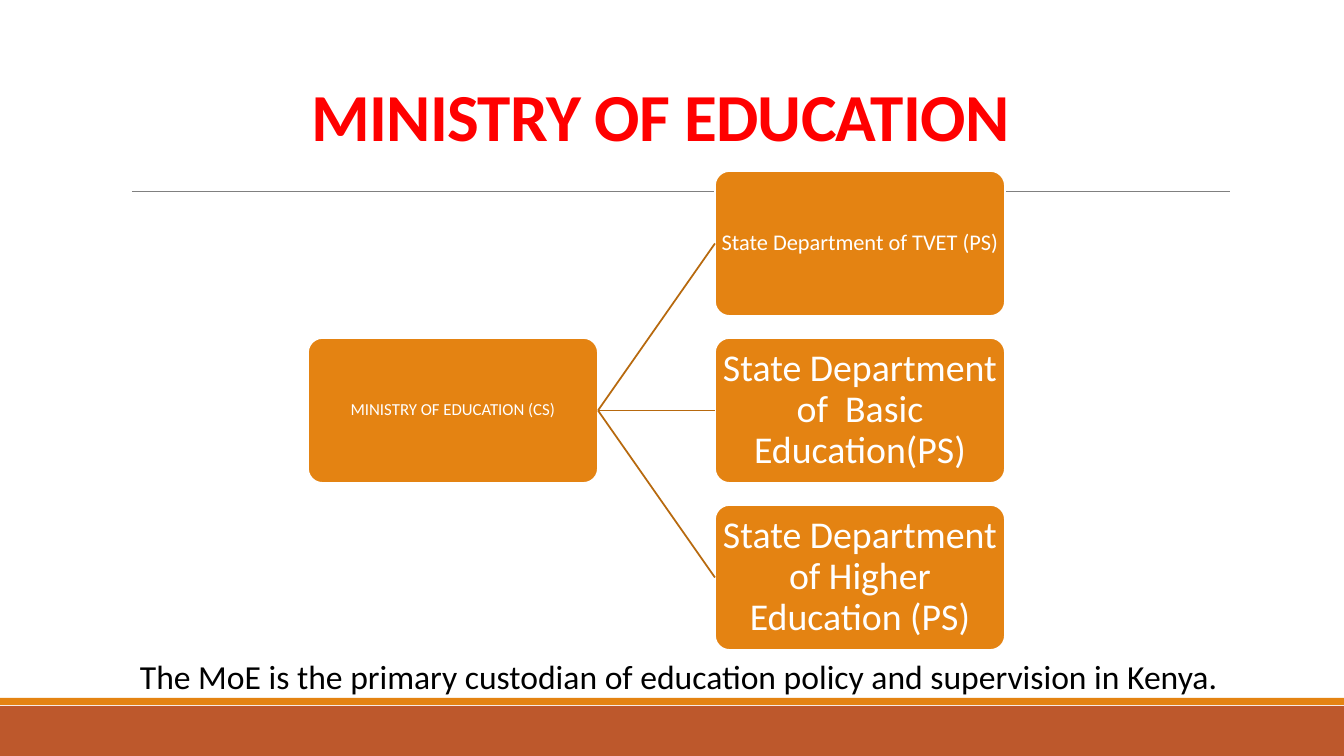
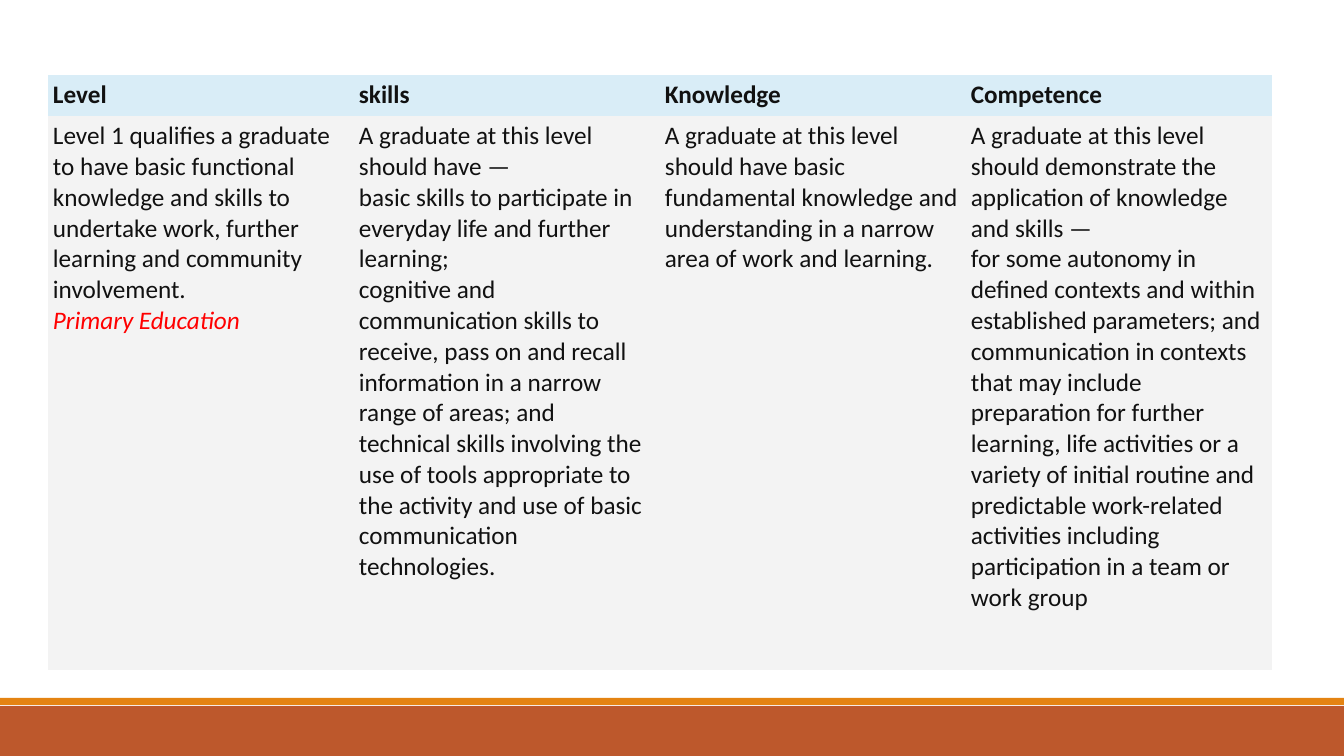
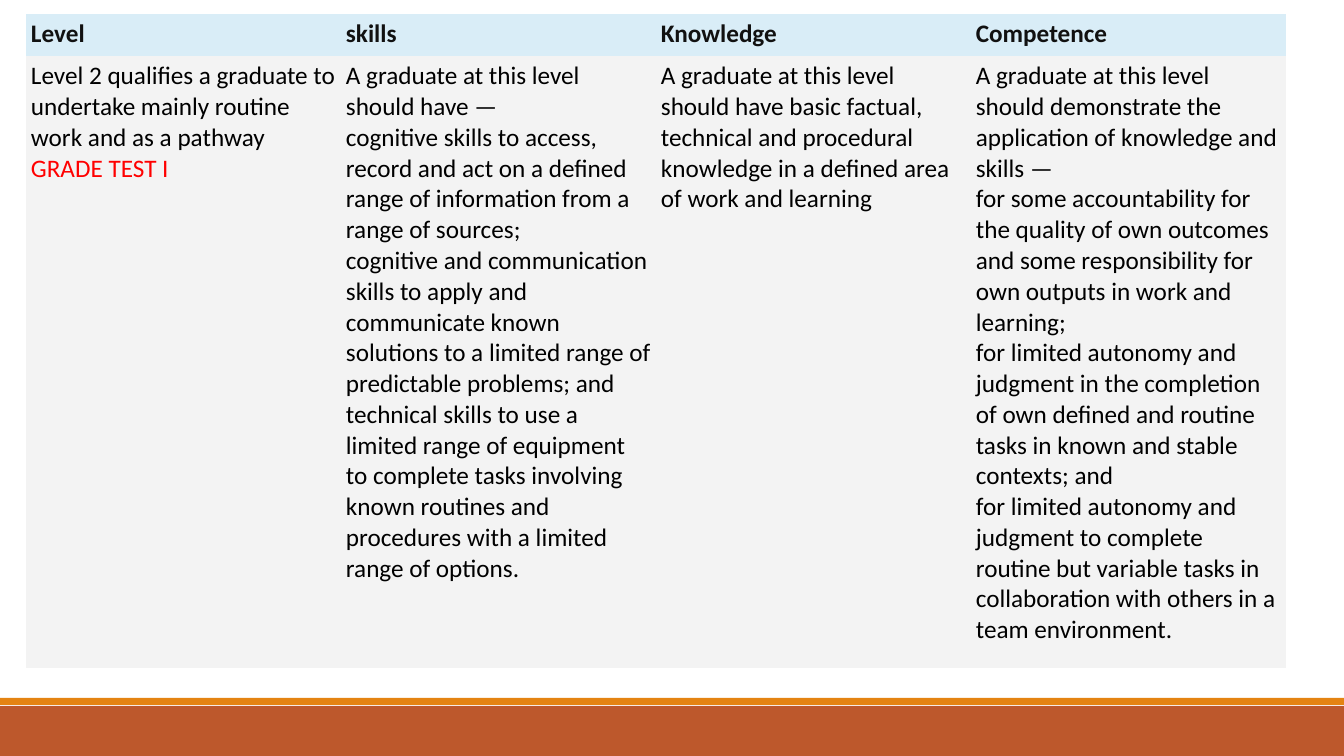
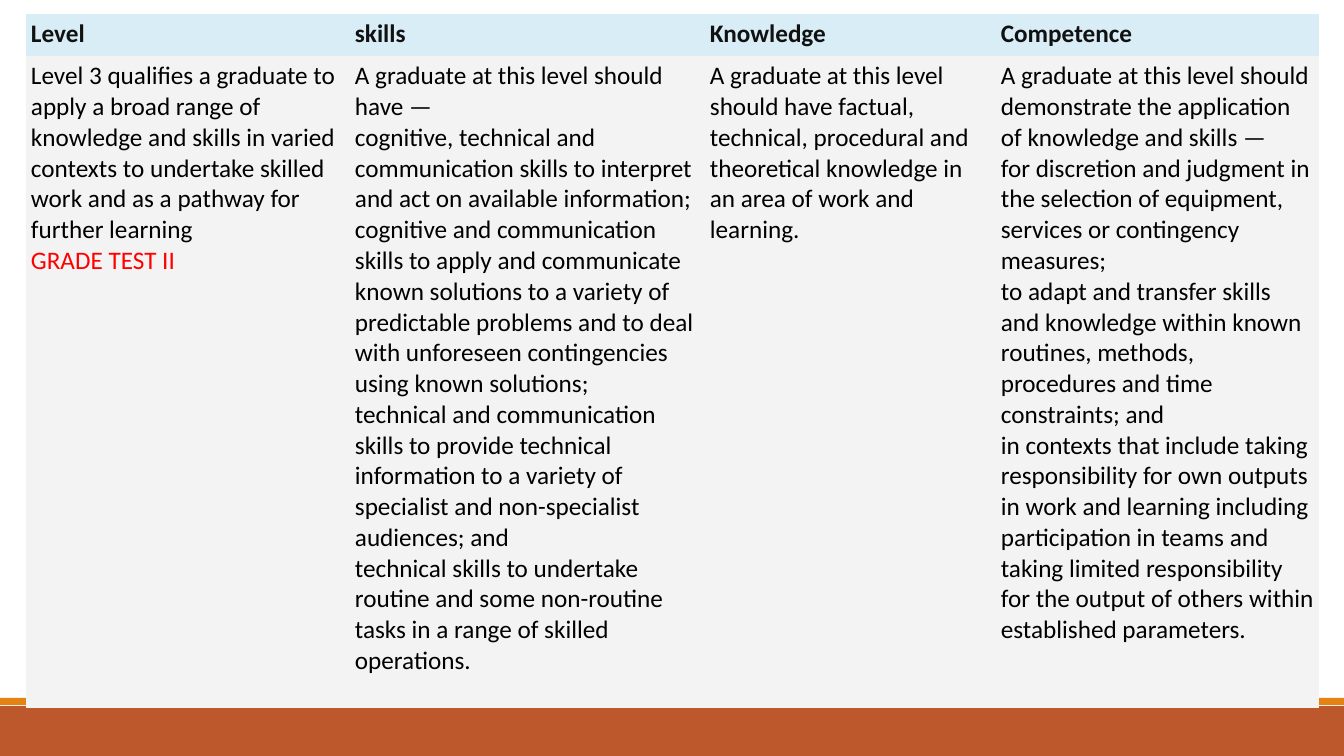
from dataclasses import dataclass

from lxml import etree
from pptx import Presentation
from pptx.dml.color import RGBColor
from pptx.enum.shapes import MSO_CONNECTOR, MSO_SHAPE
from pptx.enum.text import MSO_ANCHOR, PP_ALIGN
from pptx.oxml.ns import qn
from pptx.util import Emu, Pt

RECTANGLE = MSO_SHAPE.RECTANGLE
ROUNDED = MSO_SHAPE.ROUNDED_RECTANGLE
STRAIGHT = MSO_CONNECTOR.STRAIGHT
LEFT, CENTER = PP_ALIGN.LEFT, PP_ALIGN.CENTER
TOP, MIDDLE, BOTTOM = MSO_ANCHOR.TOP, MSO_ANCHOR.MIDDLE, MSO_ANCHOR.BOTTOM

PAGE_WIDTH, PAGE_HEIGHT = 1344, 756
EMU_PER_PX = 914400 / 100.8
LEFT_SIDE, RIGHT_SIDE = 1, 3
TITLE_ONLY, BLANK = 5, 6
PLAIN_TABLE = "{2D5ABB26-0587-4C30-8999-92F81FD0307C}"


def px(length):
    return Emu(round(length * EMU_PER_PX))


@dataclass(frozen=True)
class Theme:
    font: str = "Calibri"
    white: str = "FFFFFF"
    black: str = "000000"
    ink: str = "111111"
    red: str = "FF0000"
    orange: str = "E48312"
    brown: str = "BD582C"
    link: str = "B7690E"
    rule: str = "808080"
    header: str = "D9EDF7"
    body: str = "F3F3F3"
    title_size: int = 48
    large_size: int = 27
    note_size: int = 24
    table_size: int = 18
    medium_size: int = 16
    small_size: int = 12
    line_width: float = 1.25
    rule_width: float = 0.5


class Builder:
    def __init__(self, theme):
        self.theme = theme
        self.deck = Presentation()
        self.deck.slide_width = px(PAGE_WIDTH)
        self.deck.slide_height = px(PAGE_HEIGHT)
        self.page = None

    def new_page(self, layout=BLANK):
        self.page = self.deck.slides.add_slide(self.deck.slide_layouts[layout])
        self.shape(RECTANGLE, 0, 706, PAGE_WIDTH, 50, self.theme.brown)
        self.shape(RECTANGLE, 0, 698, PAGE_WIDTH, 7, self.theme.orange)

    def shape(self, kind, left, top, width, height, fill, line=None):
        box = self.page.shapes.add_shape(kind, px(left), px(top), px(width), px(height))
        box.shadow.inherit = False
        box.fill.solid()
        box.fill.fore_color.rgb = RGBColor.from_string(fill)
        if line:
            box.line.color.rgb = RGBColor.from_string(line)
            box.line.width = Pt(self.theme.line_width)
        else:
            box.line.fill.background()
        return box

    def fill_text(self, frame, lines, align=LEFT, spacing=1.0):
        for index, (text, color, size, formats) in enumerate(lines):
            para = frame.add_paragraph() if index else frame.paragraphs[0]
            para.alignment = align
            para.line_spacing = spacing
            span = para.add_run()
            span.text = text
            values = {"name": self.theme.font, "size": Pt(size), "bold": False, **formats}
            for name, value in values.items():
                setattr(span.font, name, value)
            span.font.color.rgb = RGBColor.from_string(color)

    def title(self, text, left, top, width, height):
        box = self.page.shapes.title
        place = {"left": left, "top": top, "width": width, "height": height}
        for name, value in place.items():
            setattr(box, name, px(value))
        frame = box.text_frame
        frame.vertical_anchor = BOTTOM
        line = (text, self.theme.red, self.theme.title_size, {"bold": True})
        self.fill_text(frame, [line], CENTER, 0.85)
        frame.paragraphs[0].runs[0].font._element.set("spc", "-50")

    def node(self, text, size, left, top, width, height):
        box = self.shape(ROUNDED, left, top, width, height, self.theme.orange, self.theme.white)
        box.adjustments[0] = 0.1
        frame = box.text_frame
        frame.word_wrap = True
        frame.vertical_anchor = MIDDLE
        for side in ("left", "right", "top", "bottom"):
            setattr(frame, f"margin_{side}", px(1))
        self.fill_text(frame, [(text, self.theme.white, size, {})], CENTER, 0.9)
        return box

    def line(self, color, width, start=(0, 0), end=(0, 0)):
        line = self.page.shapes.add_connector(STRAIGHT, *map(px, start + end))
        line.line.color.rgb = RGBColor.from_string(color)
        line.line.width = Pt(width)
        etree.SubElement(line._element.spPr, qn("a:effectLst"))
        return line

    def link(self, parent, child):
        line = self.line(self.theme.link, self.theme.line_width)
        line.begin_connect(parent, RIGHT_SIDE)
        line.end_connect(child, LEFT_SIDE)

    def note(self, text, left, top, width, height):
        box = self.page.shapes.add_textbox(px(left), px(top), px(width), px(height))
        box.text_frame.word_wrap = True
        self.fill_text(box.text_frame, [(text, self.theme.black, self.theme.note_size, {})])

    def cell(self, cell, lines, fill):
        cell.fill.solid()
        cell.fill.fore_color.rgb = RGBColor.from_string(fill)
        cell.vertical_anchor = TOP
        for side in ("left", "right", "top", "bottom"):
            setattr(cell, f"margin_{side}", px(5))
        self.fill_text(cell.text_frame, lines)

    def level_table(self, left, top, widths, heights, color, columns, award, award_format):
        theme = self.theme
        holder = self.page.shapes.add_table(
            2, len(widths), px(left), px(top), px(sum(widths)), px(sum(heights)))
        table = holder.table
        table.horz_banding = False
        holder._element.xpath(".//a:tableStyleId")[0].text = PLAIN_TABLE
        for row, height in zip(table.rows, heights):
            row.height = px(height)
        for index, (width, heading, texts) in enumerate(zip(widths, HEADINGS, columns)):
            table.columns[index].width = px(width)
            head = (heading, theme.ink, theme.table_size, {"bold": True})
            lines = [(text, color, theme.table_size, {}) for text in texts]
            if index == 0:
                lines.append((award, theme.red, theme.table_size, award_format))
            self.cell(table.cell(0, index), [head], theme.header)
            self.cell(table.cell(1, index), lines, theme.body)


HEADINGS = ("Level", "skills", "Knowledge", "Competence")
SKILLS_LEAD = "A graduate at this level should have —"
COMPETENCE_LEAD = (
    "A graduate at this level should demonstrate the application of knowledge and skills —")

LEVEL_1 = (
    ["Level 1 qualifies a graduate to have basic functional knowledge and skills to undertake "
     "work, further learning and community involvement."],
    [SKILLS_LEAD,
     "basic skills to participate in everyday life and further learning;",
     "cognitive and communication skills to receive, pass on and recall information in a "
     "narrow range of areas; and",
     "technical skills involving the use of tools appropriate to the activity and use of basic "
     "communication technologies."],
    ["A graduate at this level should have basic fundamental knowledge and understanding in a "
     "narrow area of work and learning."],
    [COMPETENCE_LEAD,
     "for some autonomy in defined contexts and within established parameters; and",
     "communication in contexts that may include preparation for further learning, life "
     "activities or a variety of initial routine and predictable work-related activities "
     "including participation in a team or work group"],
)

LEVEL_2 = (
    ["Level 2 qualifies a graduate to undertake mainly routine work and as a pathway"],
    [SKILLS_LEAD,
     "cognitive skills to access, record and act on a defined range of information from a "
     "range of sources;",
     "cognitive and communication skills to apply and communicate known solutions to a limited "
     "range of predictable problems; and",
     "technical skills to use a limited range of equipment to complete tasks involving known "
     "routines and procedures with a limited range of options."],
    ["A graduate at this level should have basic factual, technical and procedural knowledge "
     "in a defined area of work and learning"],
    [COMPETENCE_LEAD,
     "for some accountability for the quality of own outcomes and some responsibility for own "
     "outputs in work and learning;",
     "for limited autonomy and judgment in the completion of own defined and routine tasks in "
     "known and stable contexts; and",
     "for limited autonomy and judgment to complete routine but variable tasks in "
     "collaboration with others in a team environment."],
)

LEVEL_3 = (
    ["Level 3 qualifies a graduate to apply a broad range of knowledge and skills in varied "
     "contexts to undertake skilled work and as a pathway for further learning"],
    [SKILLS_LEAD,
     "cognitive, technical and communication skills to interpret and act on available "
     "information;",
     "cognitive and communication skills to apply and communicate known solutions to a variety "
     "of predictable problems and to deal with unforeseen contingencies using known solutions;",
     "technical and communication skills to provide technical information to a variety of "
     "specialist and non-specialist audiences; and",
     "technical skills to undertake routine and some non-routine tasks in a range of skilled "
     "operations."],
    ["A graduate at this level should have factual, technical, procedural and theoretical "
     "knowledge in an area of work and learning."],
    [COMPETENCE_LEAD,
     "for discretion and judgment in the selection of equipment, services or contingency "
     "measures;",
     "to adapt and transfer skills and knowledge within known routines, methods, procedures "
     "and time constraints; and",
     "in contexts that include taking responsibility for own outputs in work and learning "
     "including participation in teams and taking limited responsibility for the output of "
     "others within established parameters."],
)


def ministry_page(builder):
    theme = builder.theme
    builder.new_page(TITLE_ONLY)
    builder.line(theme.rule, theme.rule_width, (132, 191), (1230, 191))
    builder.title("MINISTRY OF EDUCATION", 106, 0, 1109, 160)
    departments = (
        ("State Department of TVET (PS)", theme.medium_size),
        ("State Department of  Basic Education(PS)", theme.large_size),
        ("State Department of Higher Education (PS)", theme.large_size),
    )
    width, height, first_top, pitch = 290, 145, 171, 167
    ministry = builder.node(
        "MINISTRY OF EDUCATION (CS)", theme.small_size, 308, first_top + pitch, width, height)
    for index, (text, size) in enumerate(departments):
        department = builder.node(text, size, 715, first_top + index * pitch, width, height)
        builder.link(ministry, department)
    builder.note(
        "The MoE is the primary custodian of education policy and supervision in Kenya.",
        130, 651, 1122, 82)


def level_pages(builder):
    theme = builder.theme
    tables = (
        (48, 75, [306] * 4, (41, 554), theme.ink, LEVEL_1, "Primary Education", {"italic": True}),
        (26, 14, [315] * 4, (42, 612), theme.black, LEVEL_2, "GRADE TEST I", {}),
        (26, 14, [324, 355, 291, 323], (42, 652), theme.black, LEVEL_3, "GRADE TEST II", {}),
    )
    for table in tables:
        builder.new_page()
        builder.level_table(*table)


def main():
    builder = Builder(Theme())
    ministry_page(builder)
    level_pages(builder)
    builder.deck.save("out.pptx")


if __name__ == "__main__":
    main()
